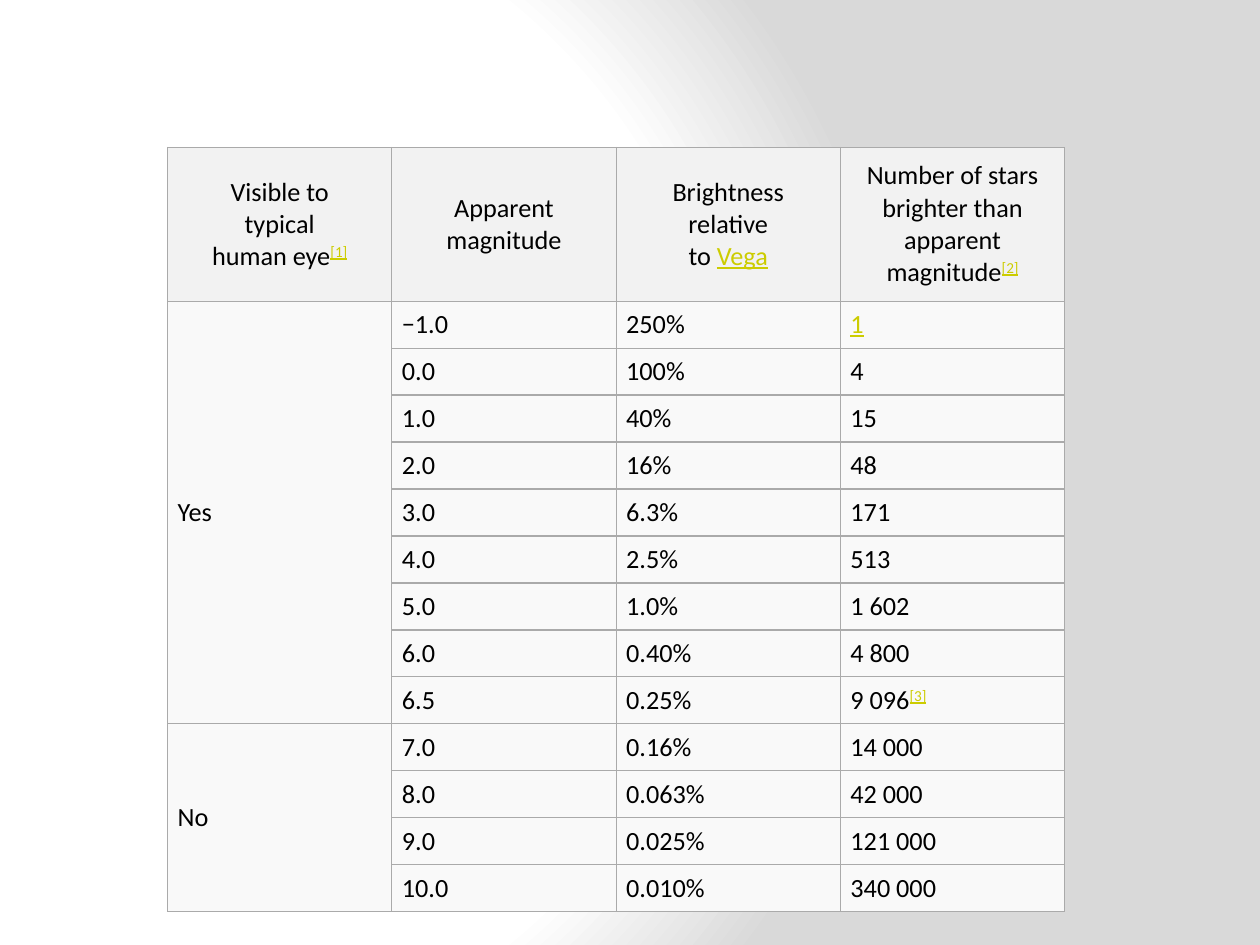
from lxml import etree
from pptx import Presentation
from pptx import util as u
from pptx.dml.color import RGBColor
from pptx.enum import text
from pptx.oxml import parse_xml
from pptx.oxml.ns import nsdecls, qn

INK, LINK, BORDER = "000000", "CCCC00", "AAAAAA"
HEAD_FILL, BODY_FILL = "F2F2F2", "F9F9F9"
CELL_FORMAT = {
    "margin_left": u.Inches(0.08),
    "margin_right": u.Inches(0.08),
    "margin_top": u.Inches(0.04),
    "margin_bottom": u.Inches(0.04),
    "vertical_anchor": text.MSO_ANCHOR.MIDDLE,
}
# Text after "|" is set as a link; a link in brackets is a superscript.
HEADERS = [
    "Visible to\ntypical\nhuman eye|[1]",
    "Apparent\nmagnitude",
    "Brightness\nrelative\nto |Vega",
    "Number of stars\nbrighter than\napparent magnitude|[2]",
]
GROUPS = {
    "Yes": [
        ("−1.0", "250%", "|1"),
        ("0.0", "100%", "4"),
        ("1.0", "40%", "15"),
        ("2.0", "16%", "48"),
        ("3.0", "6.3%", "171"),
        ("4.0", "2.5%", "513"),
        ("5.0", "1.0%", "1 602"),
        ("6.0", "0.40%", "4 800"),
        ("6.5", "0.25%", "9 096|[3]"),
    ],
    "No": [
        ("7.0", "0.16%", "14 000"),
        ("8.0", "0.063%", "42 000"),
        ("9.0", "0.025%", "121 000"),
        ("10.0", "0.010%", "340 000"),
    ],
}


def rgb(value):
    return RGBColor.from_string(value)


def set_background(slide):
    """Fill the slide with a white disc that fades to grey on the right."""
    slide.background.fill.gradient()
    old = slide.element.find(".//" + qn("a:gradFill"))
    stops = "".join(
        f'<a:gs pos="{pos}"><a:srgbClr val="{color}"/></a:gs>'
        for pos, color in ((0, "FFFFFF"), (76000, "FFFFFF"), (100000, "D9D9D9"))
    )
    new = parse_xml(
        f'<a:gradFill {nsdecls("a")} rotWithShape="1"><a:gsLst>{stops}</a:gsLst>'
        '<a:path path="circle"><a:fillToRect l="10000" t="50000" r="90000" b="50000"/>'
        "</a:path></a:gradFill>"
    )
    old.getparent().replace(old, new)


def add_run(p, content, is_link):
    r = p.add_run()
    r.text = content
    color = LINK if is_link else INK
    for name, value in {"name": "Calibri", "size": u.Pt(15), "underline": is_link}.items():
        setattr(r.font, name, value)
    r.font.color.rgb = rgb(color)
    if is_link and content.startswith("["):
        r.font._element.set("baseline", "30000")


def set_borders(cell):
    tc_pr = cell._tc.get_or_add_tcPr()
    for side in ("lnL", "lnR", "lnT", "lnB"):
        line = etree.SubElement(tc_pr, qn(f"a:{side}"), w=str(u.Pt(0.75)))
        fill = etree.SubElement(line, qn("a:solidFill"))
        etree.SubElement(fill, qn("a:srgbClr"), val=BORDER)


def style_cell(cell, fill):
    for name, value in CELL_FORMAT.items():
        setattr(cell, name, value)
    set_borders(cell)
    cell.fill.solid()
    cell.fill.fore_color.rgb = rgb(fill)


def write_cell(cell, content, align=text.PP_ALIGN.LEFT):
    p = cell.text_frame.paragraphs[0]
    p.alignment = align
    plain, _, link = content.partition("|")
    for i, line in enumerate(plain.split("\n")):
        if i:
            p.add_line_break()
        if line:
            add_run(p, line, False)
    if link:
        add_run(p, link, True)


def add_magnitude_table(slide):
    count = 1 + sum(len(rows) for rows in GROUPS.values())
    table = slide.shapes.add_table(
        count, len(HEADERS),
        u.Inches(1.33), u.Inches(1.17), u.Inches(7.12), u.Inches(6.07),
    ).table
    table.first_row = table.horz_banding = False
    for i, row in enumerate(table.rows):
        row.height = u.Inches(6.07 - 1.22) // (count - 1) if i else u.Inches(1.22)
        for cell in row.cells:
            style_cell(cell, BODY_FILL if i else HEAD_FILL)
    for col, header in enumerate(HEADERS):
        write_cell(table.cell(0, col), header, text.PP_ALIGN.CENTER)
    top = 1
    for visible, rows in GROUPS.items():
        table.cell(top, 0).merge(table.cell(top + len(rows) - 1, 0))
        write_cell(table.cell(top, 0), visible)
        for i, values in enumerate(rows, top):
            for col, value in enumerate(values, 1):
                write_cell(table.cell(i, col), value)
        top += len(rows)


def main():
    prs = Presentation()
    prs.slide_width, prs.slide_height = u.Inches(10), u.Inches(7.5)
    slide = prs.slides.add_slide(prs.slide_layouts[6])
    set_background(slide)
    add_magnitude_table(slide)
    prs.save("out.pptx")


if __name__ == "__main__":
    main()
